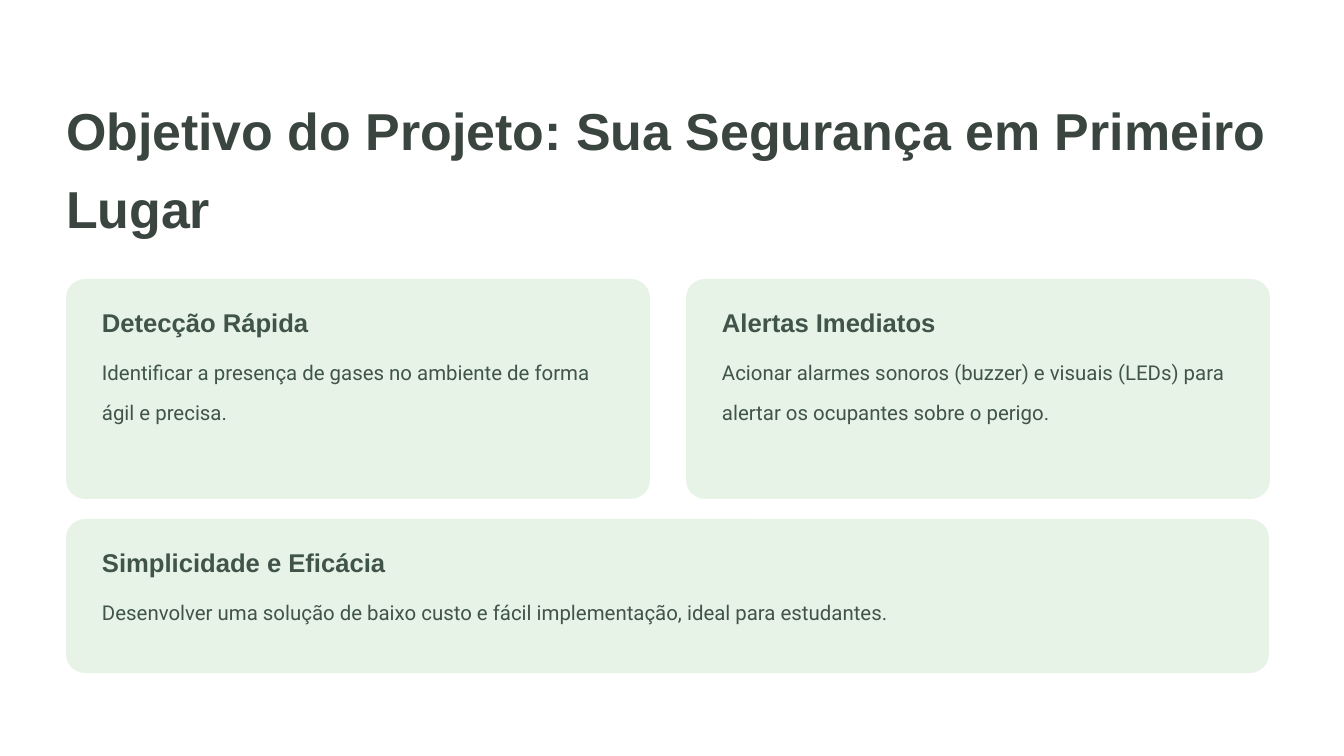
from pptx import Presentation
from pptx.dml.color import RGBColor
from pptx.enum.shapes import MSO_SHAPE
from pptx.enum.text import MSO_ANCHOR, MSO_AUTO_SIZE, PP_ALIGN
from pptx.util import Emu, Pt

PX_PER_INCH = 84
MARGIN, GAP, PADDING, RADIUS = 66, 36, 36, 19
CARD_W, FULL_W = 584, 1203
TOP_Y, TOP_H = 279, 220
BOTTOM_Y, BOTTOM_H = 519, 154
RIGHT_X = MARGIN + CARD_W + GAP
TITLE_COLOR, TEXT_COLOR, CARD_COLOR = "3B4540", "405449", "E8F3E8"

CARDS = [
    (MARGIN, TOP_Y, CARD_W, TOP_H, "Detecção Rápida",
     "Identificar a presença de gases no ambiente de forma ágil e precisa."),
    (RIGHT_X, TOP_Y, CARD_W, TOP_H, "Alertas Imediatos",
     "Acionar alarmes sonoros (buzzer) e visuais (LEDs) para alertar os ocupantes sobre o perigo."),
    (MARGIN, BOTTOM_Y, FULL_W, BOTTOM_H, "Simplicidade e Eficácia",
     "Desenvolver uma solução de baixo custo e fácil implementação, ideal para estudantes."),
]


def px(n):
    """Convert pixels to EMU."""
    return Emu(round(n * 914400 / PX_PER_INCH))


def rgb(color):
    """Turn a hex string into a colour."""
    return RGBColor.from_string(color)


def write(sp, text, size, color, font="Arial", bold=True, spacing=1.25):
    """Set and format the single paragraph of a shape."""
    tf = sp.text_frame
    tf.text = text
    tf.word_wrap = True
    tf.auto_size = MSO_AUTO_SIZE.NONE
    tf.vertical_anchor = MSO_ANCHOR.TOP
    tf.margin_left = tf.margin_top = tf.margin_right = tf.margin_bottom = 0
    p = tf.paragraphs[0]
    p.alignment = PP_ALIGN.LEFT
    p.line_spacing = spacing
    p.space_before = Pt(0)
    f = p.runs[0].font
    f.name, f.size, f.bold = font, Pt(size), bold
    f.color.rgb = rgb(color)


def add_title(s, text):
    """Place and format the slide title."""
    sp = s.shapes.title
    sp.left, sp.top, sp.width, sp.height = px(MARGIN), px(83), px(1213), px(196)
    write(sp, text, 44.5, TITLE_COLOR)


def add_text(s, x, y, w, h, text, size, **style):
    """Add a text box in the card text colour."""
    sp = s.shapes.add_textbox(px(x), px(y), px(w), px(h))
    write(sp, text, size, TEXT_COLOR, **style)


def add_card(s, x, y, w, h, heading, body):
    """Add a rounded card with a heading and a body text."""
    sp = s.shapes.add_shape(MSO_SHAPE.ROUNDED_RECTANGLE, px(x), px(y), px(w), px(h))
    sp.adjustments[0] = RADIUS / h
    sp.shadow.inherit = False
    sp.fill.solid()
    sp.fill.fore_color.rgb = rgb(CARD_COLOR)
    sp.line.fill.background()
    left, width = x + PADDING, w - 2 * PADDING
    add_text(s, left, y + 20, width, 33, heading, 22)
    add_text(s, left, y + 66, width, h - 87, body, 17.5,
             font="Roboto", bold=False, spacing=1.63)


def main():
    """Build and save the slide."""
    prs = Presentation()
    prs.slide_width, prs.slide_height = px(16 * PX_PER_INCH), px(9 * PX_PER_INCH)
    s = prs.slides.add_slide(prs.slide_layouts[5])
    add_title(s, "Objetivo do Projeto: Sua Segurança em Primeiro Lugar")
    for card in CARDS:
        add_card(s, *card)
    prs.save("out.pptx")


if __name__ == "__main__":
    main()
